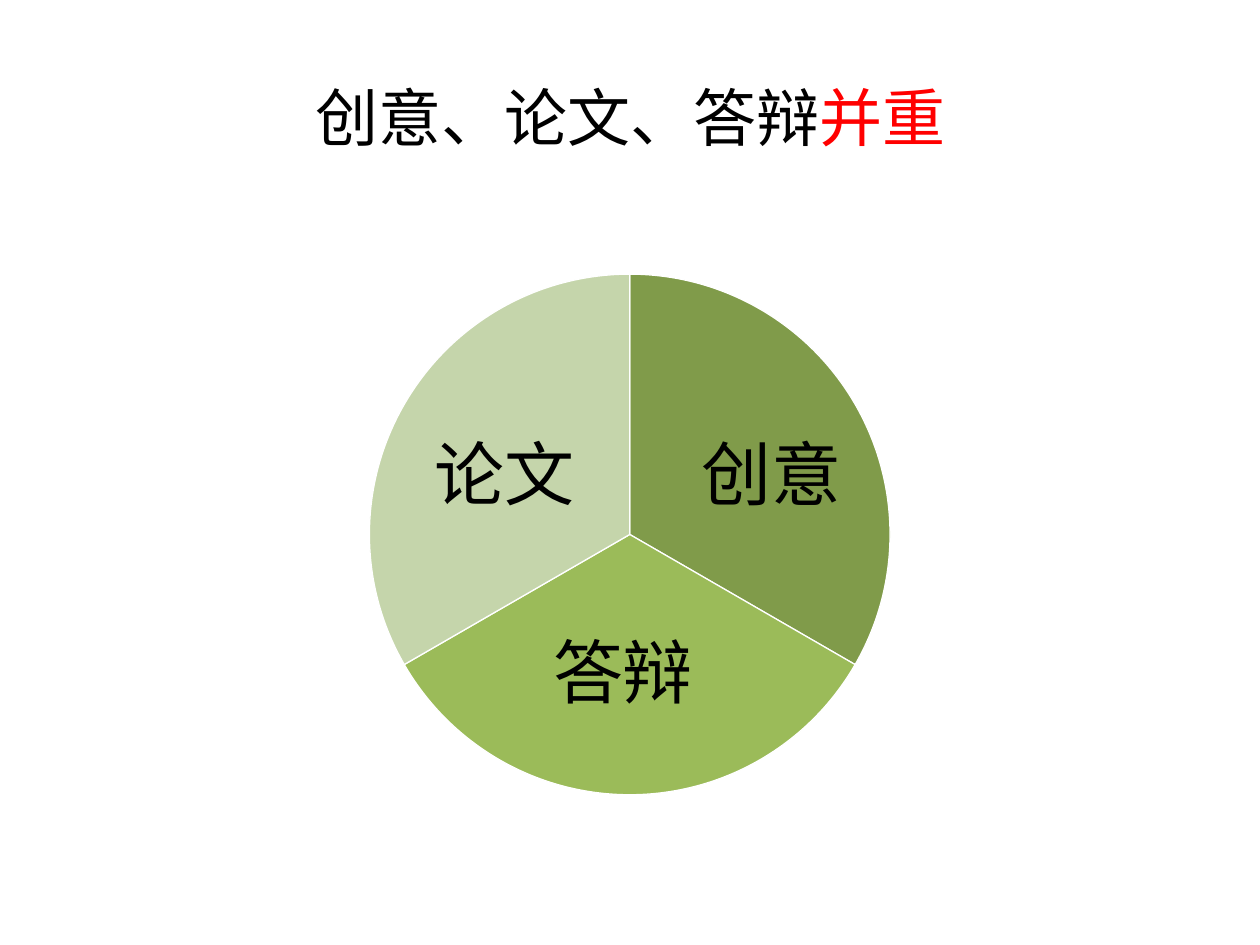
from lxml import etree
from pptx import Presentation
from pptx.chart.data import CategoryChartData
from pptx.dml.color import RGBColor
from pptx.enum.chart import XL_CHART_TYPE
from pptx.enum.text import MSO_ANCHOR, PP_ALIGN
from pptx.oxml import parse_xml
from pptx.oxml.ns import nsdecls, qn
from pptx.util import Cm, Pt

PIE = XL_CHART_TYPE.PIE
CENTER = PP_ALIGN.CENTER
MIDDLE = MSO_ANCHOR.MIDDLE
TITLE_ONLY = 5
FONT = "Noto Sans CJK SC"
COLORS = {
    "text": "000000",
    "accent": "FF0000",
    "line": "FFFFFF",
    "creativity": "809B4A",
    "defense": "9BBB59",
    "paper": "C5D5AB",
}


def format_run(run, size, color):
    """Set size, colour and the Latin and East Asian fonts of a run."""
    run.font.size = Pt(size)
    run.font.name = FONT
    run.font.color.rgb = RGBColor.from_string(COLORS[color])
    east_asian = etree.SubElement(run.font._element, qn("a:ea"))
    east_asian.set("typeface", FONT)


def set_title(slide):
    """Place the title and colour its closing words."""
    title = slide.shapes.title
    title.left, title.top = Cm(1.27), Cm(0.76)
    title.width, title.height = Cm(22.86), Cm(3.18)
    title.text_frame.vertical_anchor = MIDDLE
    paragraph = title.text_frame.paragraphs[0]
    paragraph.alignment = CENTER
    for text, color in (("创意、论文、答辩", "text"), ("并重", "accent")):
        run = paragraph.add_run()
        run.text = text
        format_run(run, 36, color)


def set_plot_layout(chart, left, top, width, height):
    """Fix the plot area as fractions of the chart frame."""
    plot_area = chart._chartSpace.chart.plotArea
    for old_layout in plot_area.findall(qn("c:layout")):
        plot_area.remove(old_layout)
    layout = parse_xml(
        f'<c:layout {nsdecls("c")}><c:manualLayout>'
        '<c:layoutTarget val="inner"/>'
        '<c:xMode val="edge"/><c:yMode val="edge"/>'
        f'<c:x val="{left}"/><c:y val="{top}"/>'
        f'<c:w val="{width}"/><c:h val="{height}"/>'
        "</c:manualLayout></c:layout>"
    )
    plot_area.insert(0, layout)


def add_pie(slide):
    """Add the pie with three equal slices."""
    data = CategoryChartData()
    data.categories = ["1", "2", "3"]
    data.add_series("Series 1", (33, 33, 33))
    frame = slide.shapes.add_chart(
        PIE, Cm(4.23), Cm(5.13), Cm(16.93), Cm(11.29), data
    )
    chart = frame.chart
    chart.has_title = False
    chart.has_legend = False
    chart.font.name = "Calibri"
    chart.font.size = Pt(18)
    chart.font.color.rgb = RGBColor.from_string(COLORS["text"])
    set_plot_layout(chart, 0.19, 0.03, 0.62, 0.94)
    plot = chart.plots[0]
    plot.vary_by_categories = True
    for index, color in enumerate(("creativity", "defense", "paper")):
        slice_format = plot.series[0].points[index].format
        slice_format.fill.solid()
        slice_format.fill.fore_color.rgb = RGBColor.from_string(COLORS[color])
        slice_format.line.color.rgb = RGBColor.from_string(COLORS["line"])
        slice_format.line.width = Pt(0.75)


def add_label(slide, text, left, top):
    """Add a slice label."""
    box = slide.shapes.add_textbox(Cm(left), Cm(top), Cm(3.6), Cm(1.96))
    box.text_frame.word_wrap = True
    box.text_frame.text = text
    format_run(box.text_frame.paragraphs[0].runs[0], 40, "text")


def main():
    """Build and save the slide."""
    presentation = Presentation()
    presentation.slide_width, presentation.slide_height = Cm(25.4), Cm(19.05)
    layout = presentation.slide_layouts[TITLE_ONLY]
    slide = presentation.slides.add_slide(layout)
    set_title(slide)
    add_pie(slide)
    labels = (("论文", 8.51, 8.56), ("答辩", 10.9, 12.55), ("创意", 13.89, 8.56))
    for text, left, top in labels:
        add_label(slide, text, left, top)
    presentation.save("out.pptx")


if __name__ == "__main__":
    main()
